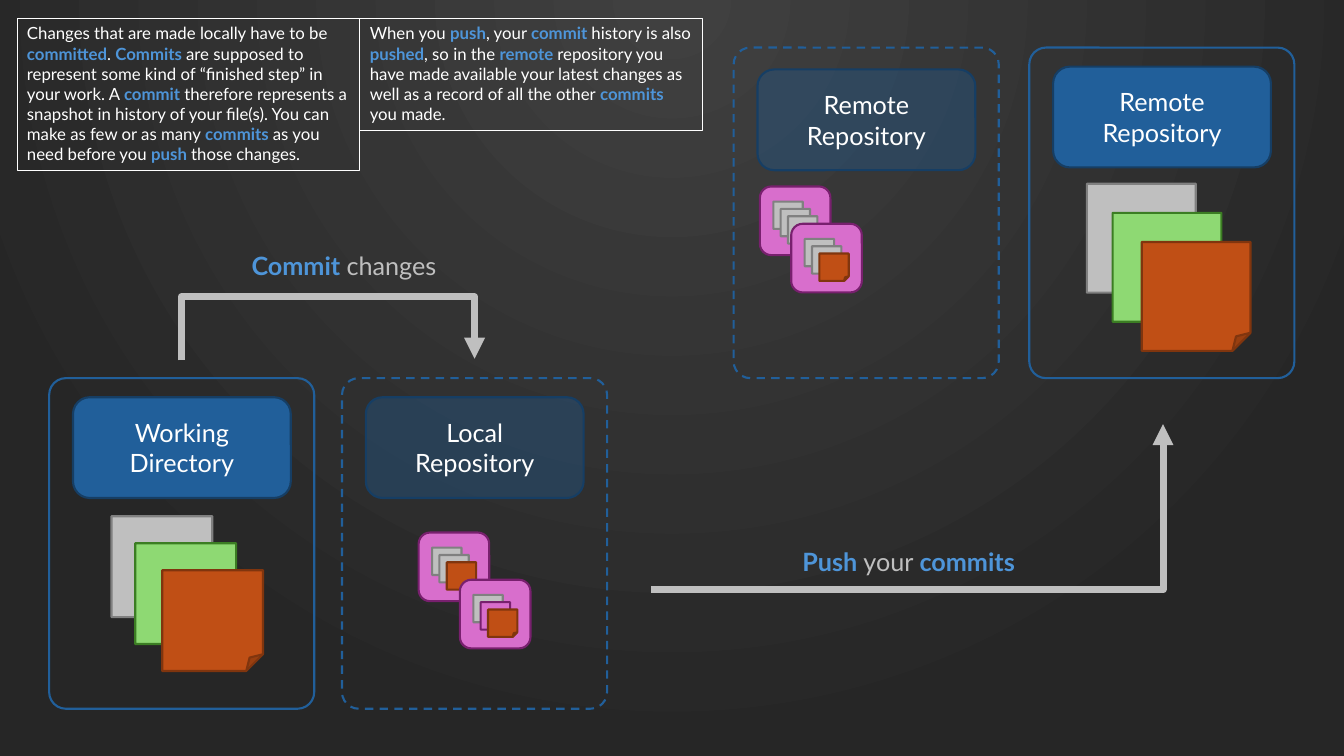
from lxml import etree
from pptx import Presentation
from pptx.dml.color import RGBColor
from pptx.enum import dml, shapes, text
from pptx.oxml.ns import qn
from pptx.util import Cm, Pt

WHITE = RGBColor(0xFF, 0xFF, 0xFF)
SILVER = RGBColor(0xBF, 0xBF, 0xBF)
SKY = RGBColor(0x4E, 0x95, 0xD9)
BLUE = RGBColor(0x21, 0x5F, 0x9A)
NAVY = RGBColor(0x16, 0x3E, 0x64)
BG_CENTRE = RGBColor(0x40, 0x40, 0x40)
BG_EDGE = RGBColor(0x26, 0x26, 0x26)

# Fill and outline pairs
GRAY = (SILVER, RGBColor(0x80, 0x80, 0x80))
GREEN = (RGBColor(0x8E, 0xD9, 0x73), RGBColor(0x3B, 0x7D, 0x23))
ORANGE = (RGBColor(0xC0, 0x4F, 0x15), RGBColor(0x80, 0x35, 0x0E))
PINK = (RGBColor(0xD8, 0x6E, 0xCC), RGBColor(0x78, 0x20, 0x6E))

FONT = "Lato"
PANEL_W, PANEL_H = 6.68, 8.33
NOTE_W = 8.64
ROUNDED = shapes.MSO_SHAPE.ROUNDED_RECTANGLE
FOLDED = shapes.MSO_SHAPE.FOLDED_CORNER


def paint_background(slide):
    fill = slide.background.fill
    fill.gradient()
    for stop, color in zip(fill.gradient_stops, (BG_CENTRE, BG_EDGE)):
        stop.color.rgb = color
    grad = slide.element.find(".//" + qn("a:gradFill"))
    lin = grad.find(qn("a:lin"))
    circle = etree.Element(qn("a:path"), path="circle")
    etree.SubElement(circle, qn("a:fillToRect"),
                     l="50000", t="-80000", r="50000", b="180000")
    grad.replace(lin, circle)


def add_box(slide, kind, x, y, w, h, fill, line):
    sp = slide.shapes.add_shape(kind, Cm(x), Cm(y), Cm(w), Cm(h))
    sp.shadow.inherit = False
    if fill is None:
        sp.fill.background()
    else:
        sp.fill.solid()
        sp.fill.fore_color.rgb = fill
    sp.line.color.rgb = line
    sp.line.width = Pt(1.5)
    return sp


def write_marked(p, marked, size, color):
    """Fill a paragraph; parts between asterisks become bold keywords."""
    for i, part in enumerate(marked.split("*")):
        if part:
            r = p.add_run()
            r.text = part
            r.font.name = FONT
            r.font.size = Pt(size)
            r.font.bold = i % 2 == 1
            r.font.color.rgb = SKY if r.font.bold else color


def add_text(slide, x, y, w, h, marked, size, color, wrap):
    sp = slide.shapes.add_textbox(Cm(x), Cm(y), Cm(w), Cm(h))
    tf = sp.text_frame
    tf.word_wrap = wrap
    tf.auto_size = text.MSO_AUTO_SIZE.SHAPE_TO_FIT_TEXT
    write_marked(tf.paragraphs[0], marked, size, color)
    return sp


def add_note(slide, x, y, h, marked):
    sp = add_text(slide, x, y, NOTE_W, h, marked, 12, WHITE, True)
    sp.line.color.rgb = WHITE
    sp.line.width = Pt(0.75)


def add_panel(slide, x, y, title, title_dy=0.48, dashed=False):
    """Outlined panel with a title; a dashed panel has a see-through title."""
    frame = add_box(slide, ROUNDED, x, y, PANEL_W, PANEL_H, None, BLUE)
    frame.adjustments[0] = 0.063
    label = add_box(slide, ROUNDED, x + 0.6, y + title_dy, 5.49, 2.54, BLUE, NAVY)
    tf = label.text_frame
    tf.word_wrap = True
    tf.vertical_anchor = text.MSO_ANCHOR.MIDDLE
    p = tf.paragraphs[0]
    p.text = title
    p.alignment = text.PP_ALIGN.CENTER
    for r in p.runs:
        r.font.name = FONT
        r.font.size = Pt(18)
        r.font.color.rgb = WHITE
    if dashed:
        frame.line.dash_style = dml.MSO_LINE.DASH
        rgb = label.fill._xPr.find(qn("a:solidFill")).find(qn("a:srgbClr"))
        etree.SubElement(rgb, qn("a:alpha"), val="36000")


def add_files(slide, x, y, scale=1):
    for (fill, line), dx, dy in ((GRAY, 0, 0), (GREEN, 0.6, 0.68), (ORANGE, 1.28, 1.36)):
        add_box(slide, FOLDED, x + dx * scale, y + dy * scale,
                2.54 * scale, 2.54 * scale, fill, line)


def add_commit(slide, x, y, files):
    add_box(slide, ROUNDED, x, y, 1.78, 1.73, *PINK)
    for i, (fill, line) in enumerate(files):
        step = 0.185 * i
        add_box(slide, FOLDED, x + 0.34 + step, y + 0.38 + step, 0.74, 0.69, fill, line)


def add_bent_arrow(slide, x1, y1, x2, y2):
    cxn = slide.shapes.add_connector(shapes.MSO_CONNECTOR.ELBOW,
                                     Cm(x1), Cm(y1), Cm(x2), Cm(y2))
    cxn.line.color.rgb = SILVER
    cxn.line.width = Pt(5)
    spPr = cxn.element.spPr
    etree.SubElement(spPr.find(qn("a:ln")), qn("a:tailEnd"), type="triangle")
    etree.SubElement(spPr, qn("a:effectLst"))
    return spPr


def add_commit_step(slide, x, y):
    """Caption above an arrow that goes up, across and down again."""
    add_text(slide, x + 1.52, y, 5.36, 1.02, "*Commit *changes", 18, SILVER, False)
    span, rise, gap = 7.39, 1.6, 0.04
    mid_x, mid_y = x + span / 2, y + 2.88
    # Laid out upright, then turned a quarter
    spPr = add_bent_arrow(slide, mid_x + gap / 2, mid_y + span / 2,
                          mid_x - gap / 2, mid_y - span / 2)
    spPr.find(qn("a:xfrm")).set("rot", "5400000")
    guides = spPr.find(qn("a:prstGeom")).get_or_add_avLst()
    etree.SubElement(guides, qn("a:gd"), name="adj1",
                     fmla=f"val {round(rise / gap * 100000)}")


def add_push_step(slide, x, y):
    """Caption above an arrow that goes right and then up."""
    add_text(slide, x + 3.56, y - 1.22, 6.02, 1.02, "*Push *your *commits*",
             18, SILVER, False)
    spPr = add_bent_arrow(slide, x, y, x + 12.9, y - 4.17)
    spPr.find(qn("a:prstGeom")).set("prst", "bentConnector2")


def add_working_directory(slide, x, y):
    add_panel(slide, x, y, "Working Directory")
    add_files(slide, x + 1.57, y + 3.48)


def add_local_repository(slide, x, y):
    add_panel(slide, x, y, "Local\vRepository", dashed=True)
    add_commit(slide, x + 1.93, y + 3.89, (GRAY, GRAY, ORANGE))
    add_commit(slide, x + 2.97, y + 5.08, (GRAY, PINK, ORANGE))


def add_remote_history(slide, x, y):
    add_panel(slide, x, y, "Remote\vRepository", title_dy=0.55, dashed=True)
    add_commit(slide, x + 0.66, y + 3.5, (GRAY, GRAY, GRAY))
    add_commit(slide, x + 1.45, y + 4.44, (GRAY, GRAY, ORANGE))


def add_remote_files(slide, x, y):
    add_panel(slide, x, y, "Remote\vRepository")
    add_files(slide, x + 1.45, y + 3.43, scale=1.08)


def main():
    prs = Presentation()
    prs.slide_width, prs.slide_height = Cm(33.87), Cm(19.05)
    slide = prs.slides.add_slide(prs.slide_layouts[6])
    paint_background(slide)

    top, bottom = 1.2, 9.53
    add_working_directory(slide, 1.24, bottom)
    add_local_repository(slide, 8.62, bottom)
    add_remote_history(slide, 18.49, top)
    add_remote_files(slide, 25.94, top)
    add_commit_step(slide, 4.57, 6.18)
    add_push_step(slide, 16.41, 14.86)

    add_note(slide, 0.43, 0.46, 3.84,
             "Changes that are made locally have to be *committed*. *Commits *are "
             "supposed to represent some kind of “finished step” in your work. A "
             "*commit *therefore represents a snapshot in history of your file(s). "
             "You can make as few or as many *commits *as you need before you "
             "*push *those changes.")
    add_note(slide, 0.43 + NOTE_W, 0.46, 2.82,
             "When you *push*, your *commit *history is also *pushed*, so in the "
             "*remote *repository you have made available your latest changes as "
             "well as a record of all the other *commits *you made.")
    prs.save("out.pptx")


if __name__ == "__main__":
    main()
